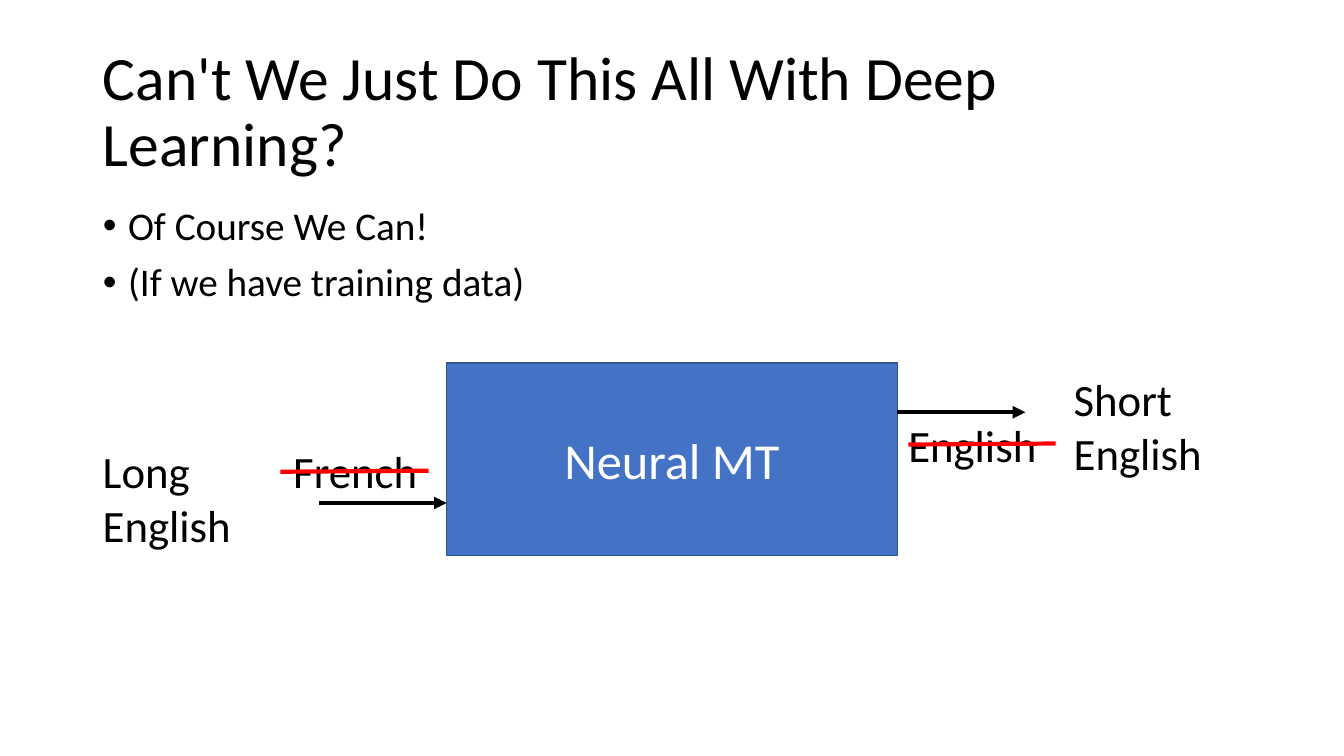
from dataclasses import dataclass
from lxml.etree import SubElement
from pptx import Presentation
from pptx.dml.color import RGBColor
from pptx.enum.shapes import MSO_CONNECTOR, MSO_SHAPE
from pptx.enum.text import MSO_ANCHOR, MSO_AUTO_SIZE, PP_ALIGN
from pptx.oxml.ns import qn
from pptx.util import Pt

TITLE = ("Can't We Just Do This All With Deep Learning?", (92, 40, 1150, 145))
BODY = (["Of Course We Can!", "(If we have training data)"],
        (92, 200, 1150, 146))
MODEL = ("Neural MT", (443, 360, 447, 191))
LABELS = [
    ("French", (281, 435, 144, 64)),
    ("English", (891, 409, 149, 64)),
    ("Long\vEnglish", (92, 435, 149, 118)),
    ("Short\vEnglish", (1055, 364, 149, 118)),
]
ARROWS = [(316, 499, 443, 499), (890, 409, 1017, 409)]
STRIKES = [(278, 468, 425, 467), (901, 441, 1047, 440)]


@dataclass(frozen=True)
class Theme:
    font: str = "Calibri"
    ink: str = "000000"
    paper: str = "FFFFFF"
    fill: str = "4472C4"
    edge: str = "325491"
    strike: str = "FF0000"
    title: int = 44
    body: int = 28
    model: int = 36
    label: int = 32
    line: int = 3


THEME = Theme()
SCALE = 9144


def emu(box):
    return [n * SCALE for n in box]


def place(shape, box):
    shape.left, shape.top, shape.width, shape.height = emu(box)


def style(part, size, color=THEME.ink):
    for run in part.runs:
        run.font.name = THEME.font
        run.font.size = Pt(size)
        run.font.color.rgb = RGBColor.from_string(color)


def bullet(part):
    props = part._p.get_or_add_pPr()
    props.set("marL", "228600")
    props.set("indent", "-228600")
    SubElement(props, qn("a:buFont"), typeface="Arial")
    SubElement(props, qn("a:buChar"), char="•")


def draw(slide, ends, color, arrow=False):
    line = slide.shapes.add_connector(MSO_CONNECTOR.STRAIGHT, *emu(ends))
    line.line.color.rgb = RGBColor.from_string(color)
    line.line.width = Pt(THEME.line)
    if arrow:
        SubElement(line.line._get_or_add_ln(), qn("a:tailEnd"),
                   type="triangle")
    SubElement(line._element.spPr, qn("a:effectLst"))


def heads(slide):
    text, box = TITLE
    title = slide.shapes.title
    place(title, box)
    frame = title.text_frame
    frame.text = text
    frame.auto_size = MSO_AUTO_SIZE.NONE
    frame.vertical_anchor = MSO_ANCHOR.MIDDLE
    part = frame.paragraphs[0]
    part.alignment = PP_ALIGN.LEFT
    part.line_spacing = 0.9
    style(part, THEME.title)

    items, box = BODY
    body = slide.placeholders[1]
    place(body, box)
    frame = body.text_frame
    frame.text = "\n".join(items)
    frame.auto_size = MSO_AUTO_SIZE.NONE
    for i, part in enumerate(frame.paragraphs):
        part.line_spacing = 0.9
        part.space_before = Pt(10 if i else 0)
        bullet(part)
        style(part, THEME.body)


def flow(slide):
    text, box = MODEL
    model = slide.shapes.add_shape(MSO_SHAPE.RECTANGLE, *emu(box))
    model.shadow.inherit = False
    model.fill.solid()
    model.fill.fore_color.rgb = RGBColor.from_string(THEME.fill)
    model.line.color.rgb = RGBColor.from_string(THEME.edge)
    model.line.width = Pt(1)
    frame = model.text_frame
    frame.text = text
    frame.vertical_anchor = MSO_ANCHOR.MIDDLE
    frame.paragraphs[0].alignment = PP_ALIGN.CENTER
    style(frame.paragraphs[0], THEME.model, THEME.paper)

    for text, box in LABELS:
        frame = slide.shapes.add_textbox(*emu(box)).text_frame
        frame.paragraphs[0].text = text
        frame.word_wrap = False
        frame.auto_size = MSO_AUTO_SIZE.SHAPE_TO_FIT_TEXT
        style(frame.paragraphs[0], THEME.label)

    for ends in ARROWS:
        draw(slide, ends, THEME.ink, arrow=True)
    for ends in STRIKES:
        draw(slide, ends, THEME.strike)


def main():
    deck = Presentation()
    deck.slide_width, deck.slide_height = emu((1333, 750))
    slide = deck.slides.add_slide(deck.slide_layouts[1])
    heads(slide)
    flow(slide)
    deck.save("out.pptx")


if __name__ == "__main__":
    main()
